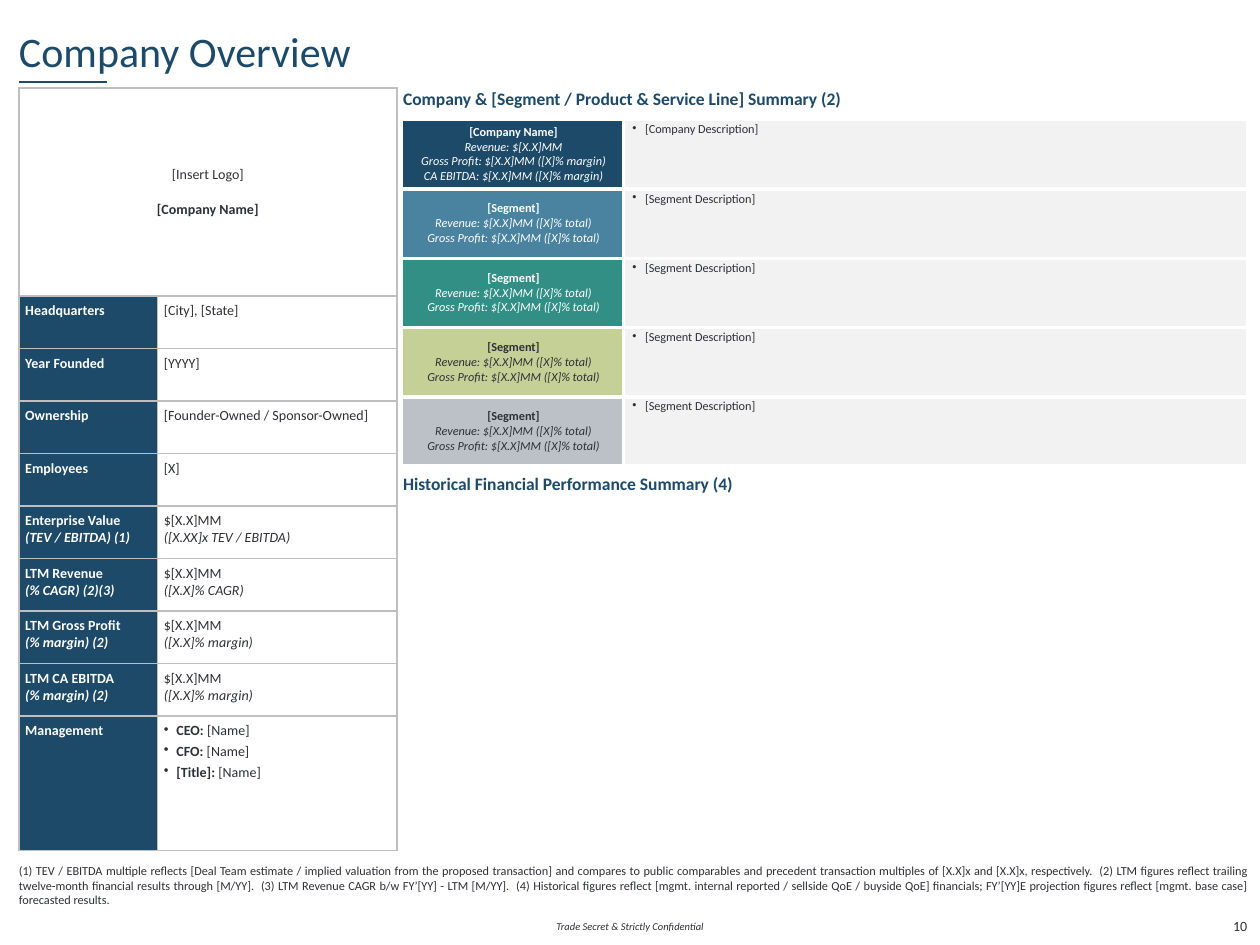
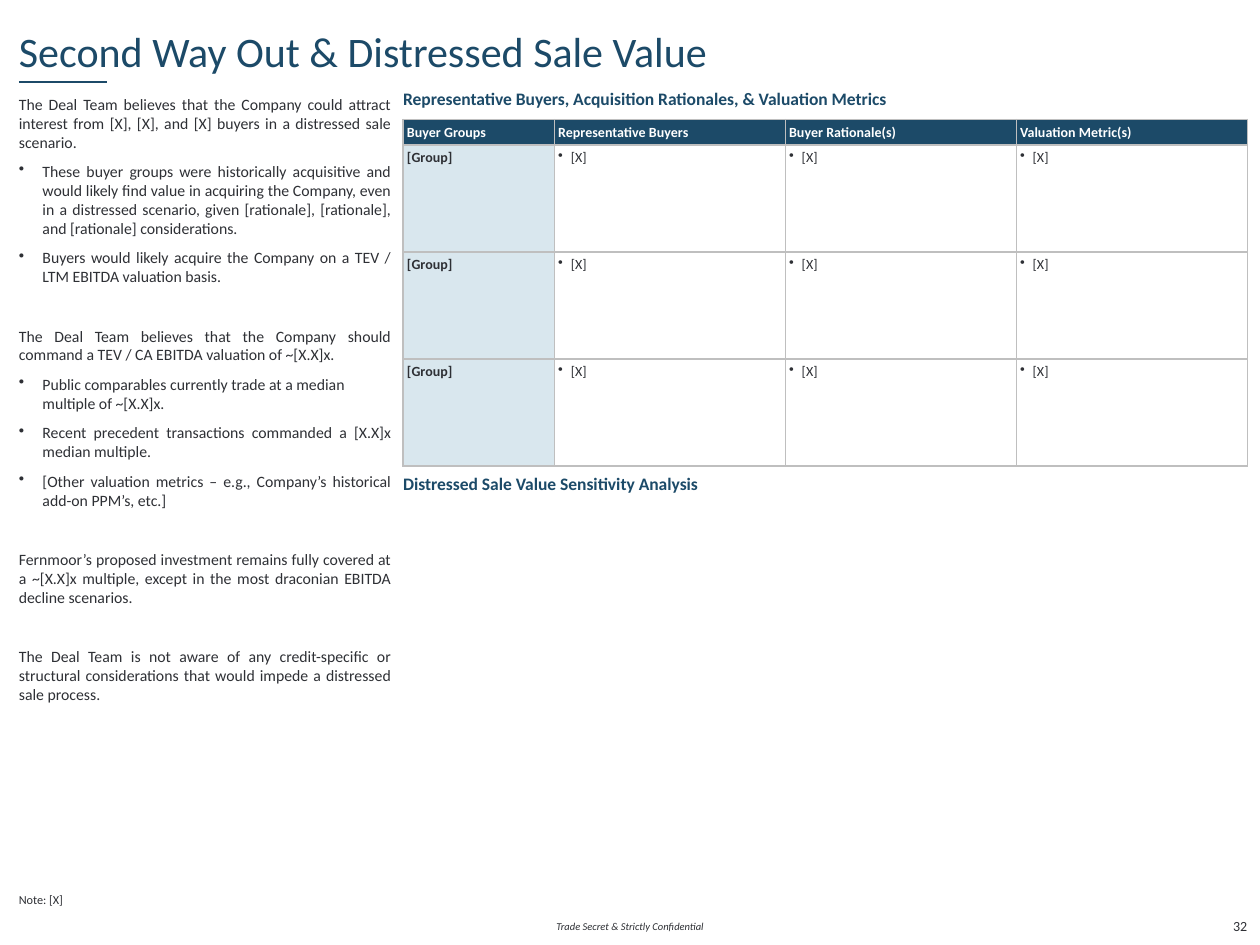
from dataclasses import dataclass
from lxml.etree import SubElement
from pptx import Presentation
from pptx.dml.color import RGBColor
from pptx.enum.shapes import MSO_CONNECTOR
from pptx.enum.text import MSO_ANCHOR as ANCHOR, PP_ALIGN as ALIGN
from pptx.oxml.ns import qn
from pptx.util import Pt

FONT = "Calibri"
NAVY = RGBColor(0x1C, 0x4A, 0x68)
BLUE = RGBColor(0x49, 0x83, 0x9F)
TEAL = RGBColor(0x32, 0x8F, 0x85)
OLIVE = RGBColor(0xC5, 0xD0, 0x97)
SILVER = RGBColor(0xBC, 0xC1, 0xC8)
PALE_BLUE = RGBColor(0xD9, 0xE7, 0xEE)
PALE_GRAY = RGBColor(0xF2, 0xF2, 0xF2)
GRID = RGBColor(0xBF, 0xBF, 0xBF)
INK = RGBColor(0x2E, 0x30, 0x35)
WHITE = RGBColor(0xFF, 0xFF, 0xFF)

NO_STYLE = "{2D5ABB26-0587-4C30-8999-92F81FD0307C}"
MARGIN_LEFT, CONTENT_WIDTH = 10.8, 702
CONTENT_TOP, CONTENT_HEIGHT = 50.4, 435.6
SIDE_WIDTH = 216
MAIN_LEFT, MAIN_WIDTH, MAIN_TABLE_TOP = 230.4, 482.4, 68.4
SECOND_SECTION_TOP = 270
GRID_BORDERS = {side: (GRID, 1) for side in "LRTB"}
BLOCK_GAP = 17

FOOTNOTE = (
    "(1) TEV / EBITDA multiple reflects [Deal Team estimate / implied valuation from the "
    "proposed transaction] and compares to public comparables and precedent transaction "
    "multiples of [X.X]x and [X.X]x, respectively.  (2) LTM figures reflect trailing "
    "twelve-month financial results through [M/YY].  (3) LTM Revenue CAGR b/w FY’[YY] - LTM "
    "[M/YY].  (4) Historical figures reflect [mgmt. internal reported / sellside QoE / buyside "
    "QoE] financials; FY’[YY]E projection figures reflect [mgmt. base case] forecasted results."
)

PROFILE = [
    (["Headquarters"], ["[City], [State]"]),
    (["Year Founded"], ["[YYYY]"]),
    (["Ownership"], ["[Founder-Owned / Sponsor-Owned]"]),
    (["Employees"], ["[X]"]),
    (["Enterprise Value", "(TEV / EBITDA) (1)"], ["$[X.X]MM", "([X.XX]x TEV / EBITDA)"]),
    (["LTM Revenue", "(% CAGR) (2)(3)"], ["$[X.X]MM", "([X.X]% CAGR)"]),
    (["LTM Gross Profit", "(% margin) (2)"], ["$[X.X]MM", "([X.X]% margin)"]),
    (["LTM CA EBITDA", "(% margin) (2)"], ["$[X.X]MM", "([X.X]% margin)"]),
]
MANAGERS = ["CEO:", "CFO:", "[Title]:"]

COMPANY_FIGURES = [
    "Revenue: $[X.X]MM",
    "Gross Profit: $[X.X]MM ([X]% margin)",
    "CA EBITDA: $[X.X]MM ([X]% margin)",
]
SEGMENT_FIGURES = [
    "Revenue: $[X.X]MM ([X]% total)",
    "Gross Profit: $[X.X]MM ([X]% total)",
]
SEGMENT_COLORS = [(BLUE, WHITE), (TEAL, WHITE), (OLIVE, INK), (SILVER, INK)]
BUYER_HEADERS = [
    "Buyer Groups", "Representative Buyers", "Buyer Rationale(s)", "Valuation Metric(s)",
]


@dataclass
class Line:
    text: str
    size: float = 8
    color: RGBColor = INK
    bold: bool = False
    italic: bool = False
    align: ALIGN = ALIGN.LEFT
    before: float = 0
    after: float = 0
    indent: float = 0
    hanging: float = 0
    lead: str = ""


def write_lines(frame, lines):
    for index, line in enumerate(lines):
        paragraph = frame.paragraphs[0] if index == 0 else frame.add_paragraph()
        paragraph.alignment = line.align
        paragraph.space_before = Pt(line.before)
        paragraph.space_after = Pt(line.after)
        if line.hanging:
            properties = paragraph._p.get_or_add_pPr()
            properties.set("marL", str(Pt(line.indent)))
            properties.set("indent", str(-Pt(line.hanging)))
            SubElement(properties, qn("a:buChar")).set("char", "•")
        font = paragraph.font
        font.name = FONT
        font.size = Pt(line.size)
        font.color.rgb = line.color
        font.italic = line.italic
        if line.lead:
            lead = paragraph.add_run()
            lead.text = line.lead
            lead.font.bold = True
        else:
            font.bold = line.bold
        paragraph.add_run().text = line.text


def set_margins(target, left, top, right, bottom):
    target.margin_left, target.margin_top = Pt(left), Pt(top)
    target.margin_right, target.margin_bottom = Pt(right), Pt(bottom)


def add_text(slide, left, top, width, height, lines, anchor=ANCHOR.TOP, margins=(0, 0, 0, 0)):
    box = slide.shapes.add_textbox(Pt(left), Pt(top), Pt(width), Pt(height))
    frame = box.text_frame
    frame.word_wrap = True
    frame.vertical_anchor = anchor
    set_margins(frame, *margins)
    write_lines(frame, lines)


def add_plain_table(slide, left, top, widths, heights):
    frame = slide.shapes.add_table(
        len(heights), len(widths), Pt(left), Pt(top), Pt(sum(widths)), Pt(sum(heights)))
    table = frame.table
    table.first_row = table.horz_banding = False
    table._tbl.tblPr.find(qn("a:tableStyleId")).text = NO_STYLE
    for column, width in zip(table.columns, widths):
        column.width = Pt(width)
    for row, height in zip(table.rows, heights):
        row.height = Pt(height)
    return table


def draw_borders(cell, borders):
    properties = cell._tc.get_or_add_tcPr()
    for side, (color, width) in borders.items():
        border = SubElement(properties, qn(f"a:ln{side}"))
        border.set("w", str(Pt(width)))
        fill = SubElement(border, qn("a:solidFill"))
        SubElement(fill, qn("a:srgbClr")).set("val", str(color))


def fill_cell(cell, lines, borders, margin, fill=None, anchor=ANCHOR.TOP):
    set_margins(cell, margin, margin, margin, margin)
    cell.vertical_anchor = anchor
    draw_borders(cell, borders)
    if fill is None:
        cell.fill.background()
    else:
        cell.fill.solid()
        cell.fill.fore_color.rgb = fill
    write_lines(cell.text_frame, lines)


def add_title_rule(slide):
    rule = slide.shapes.add_connector(
        MSO_CONNECTOR.STRAIGHT, Pt(MARGIN_LEFT), Pt(46.8), Pt(61.2), Pt(46.8))
    rule.line.color.rgb = NAVY
    rule.line.width = Pt(1.5)
    SubElement(rule._element.spPr, qn("a:effectLst"))


def add_section_title(slide, top, text):
    add_text(slide, MAIN_LEFT, top, MAIN_WIDTH, 18,
             [Line(text, 10, NAVY, bold=True, align=ALIGN.JUSTIFY)])


def add_base_slide(presentation, title, sections, note, number):
    slide = presentation.slides.add_slide(presentation.slide_layouts[6])
    add_title_rule(slide)
    add_text(slide, MARGIN_LEFT, 10.8, CONTENT_WIDTH, 36, [Line(title, 24, NAVY)], ANCHOR.MIDDLE)
    add_text(slide, 309.6, 522, 100.8, 14.4,
             [Line("Trade Secret & Strictly Confidential", 6, italic=True, align=ALIGN.CENTER)],
             ANCHOR.MIDDLE)
    add_text(slide, MARGIN_LEFT, 489.6, CONTENT_WIDTH, 28.8,
             [Line(note, 7, align=ALIGN.JUSTIFY, after=6)], ANCHOR.BOTTOM)
    add_text(slide, 691.2, 522, 21.6, 14.4, [Line(number, align=ALIGN.RIGHT)], ANCHOR.MIDDLE)
    for top, text in zip((CONTENT_TOP, SECOND_SECTION_TOP), sections):
        add_section_title(slide, top, text)
    return slide


def add_profile_table(slide):
    heights = [118.8] + [30] * len(PROFILE) + [76.8]
    table = add_plain_table(slide, MARGIN_LEFT, CONTENT_TOP, [79.2, 136.8], heights)
    table.cell(0, 0).merge(table.cell(0, 1))
    draw_borders(table.cell(0, 1), GRID_BORDERS)
    fill_cell(table.cell(0, 0), [
        Line("[Insert Logo]", align=ALIGN.CENTER),
        Line("[Company Name]", bold=True, align=ALIGN.CENTER, before=9.8),
    ], GRID_BORDERS, 3.6, anchor=ANCHOR.MIDDLE)

    rows = [
        (labels, [Line(text, italic=index > 0) for index, text in enumerate(values)])
        for labels, values in PROFILE
    ]
    rows.append((["Management"], [
        Line(" [Name]", lead=role, after=2, indent=7.2, hanging=7.2) for role in MANAGERS
    ]))
    for row, (labels, values) in enumerate(rows, start=1):
        label_lines = [Line(text, color=WHITE, bold=True, italic=index > 0)
                       for index, text in enumerate(labels)]
        fill_cell(table.cell(row, 0), label_lines, GRID_BORDERS, 3.6, NAVY)
        fill_cell(table.cell(row, 1), values, GRID_BORDERS, 3.6)


def add_segment_table(slide):
    gap = (WHITE, 2.25)
    label_borders = {"R": gap, "T": gap, "B": gap}
    text_borders = {"L": gap, "R": (WHITE, 3), "T": gap, "B": gap}
    rows = [("Company Name", "Company", COMPANY_FIGURES, NAVY, WHITE)]
    rows += [("Segment", "Segment", SEGMENT_FIGURES, fill, color)
             for fill, color in SEGMENT_COLORS]
    table = add_plain_table(slide, MAIN_LEFT, MAIN_TABLE_TOP, [126, 357], [39.6] * len(rows))
    for row, (name, subject, figures, fill, color) in enumerate(rows):
        lines = [Line(f"[{name}]", 7, color, bold=True, align=ALIGN.CENTER)]
        lines += [Line(text, 7, color, italic=True, align=ALIGN.CENTER) for text in figures]
        fill_cell(table.cell(row, 0), lines, label_borders, 1.44, fill, ANCHOR.MIDDLE)
        description = Line(f"[{subject} Description]", 7, align=ALIGN.JUSTIFY,
                           after=2, indent=10.8, hanging=7.2)
        fill_cell(table.cell(row, 1), [description], text_borders, 1.44, PALE_GRAY)


def add_buyer_table(slide):
    table = add_plain_table(slide, MAIN_LEFT, MAIN_TABLE_TOP,
                            [86.4] + [132] * 3, [14.4] + [61.2] * 3)
    for column, header in enumerate(BUYER_HEADERS):
        fill_cell(table.cell(0, column), [Line(header, color=WHITE, bold=True)],
                  GRID_BORDERS, 2.16, NAVY, ANCHOR.MIDDLE)
    for row in range(1, 4):
        fill_cell(table.cell(row, 0), [Line("[Group]", bold=True)],
                  GRID_BORDERS, 2.16, PALE_BLUE)
        for column in range(1, 4):
            fill_cell(table.cell(row, column),
                      [Line("[X]", after=2, indent=7.2, hanging=7.2)], GRID_BORDERS, 2.16)


def statement(text, before=0):
    return Line(text, 9, align=ALIGN.JUSTIFY, before=before, after=6)


def point(text, align=ALIGN.JUSTIFY):
    return Line(text, 9, align=align, after=6, indent=13.5, hanging=13.5)


def add_sale_commentary(slide):
    add_text(slide, MARGIN_LEFT, CONTENT_TOP, SIDE_WIDTH, CONTENT_HEIGHT, [
        statement("The Deal Team believes that the Company could attract interest from [X], [X], "
                  "and [X] buyers in a distressed sale scenario."),
        point("These buyer groups were historically acquisitive and would likely find value in "
              "acquiring the Company, even in a distressed scenario, given [rationale], "
              "[rationale], and [rationale] considerations."),
        point("Buyers would likely acquire the Company on a TEV / LTM EBITDA valuation basis."),
        statement("The Deal Team believes that the Company should command a TEV / CA EBITDA "
                  "valuation of ~[X.X]x.", BLOCK_GAP),
        point("Public comparables currently trade at a median multiple of ~[X.X]x.", ALIGN.LEFT),
        point("Recent precedent transactions commanded a [X.X]x median multiple."),
        point("[Other valuation metrics – e.g., Company’s historical add-on PPM’s, etc.]"),
        statement("Fernmoor’s proposed investment remains fully covered at a ~[X.X]x multiple, "
                  "except in the most draconian EBITDA decline scenarios.", BLOCK_GAP),
        statement("The Deal Team is not aware of any credit-specific or structural "
                  "considerations that would impede a distressed sale process.", BLOCK_GAP),
    ], margins=(0, 3.6, 3.6, 0))


def main():
    presentation = Presentation()
    presentation.slide_width, presentation.slide_height = Pt(720), Pt(540)

    overview = add_base_slide(
        presentation, "Company Overview",
        ["Company & [Segment / Product & Service Line] Summary (2)",
         "Historical Financial Performance Summary (4)"],
        FOOTNOTE, "10")
    add_profile_table(overview)
    add_segment_table(overview)

    sale = add_base_slide(
        presentation, "Second Way Out & Distressed Sale Value",
        ["Representative Buyers, Acquisition Rationales, & Valuation Metrics",
         "Distressed Sale Value Sensitivity Analysis"],
        "Note: [X]", "32")
    add_buyer_table(sale)
    add_sale_commentary(sale)

    presentation.save("out.pptx")


if __name__ == "__main__":
    main()
